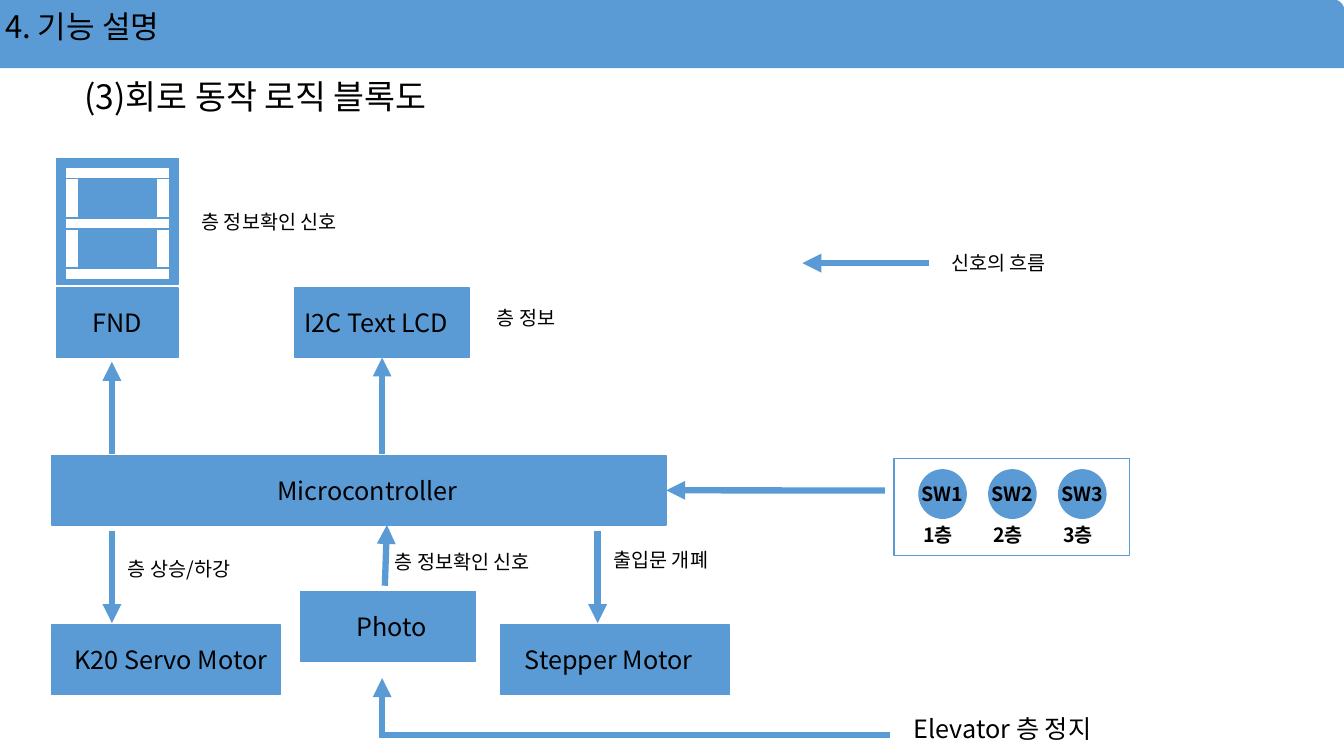
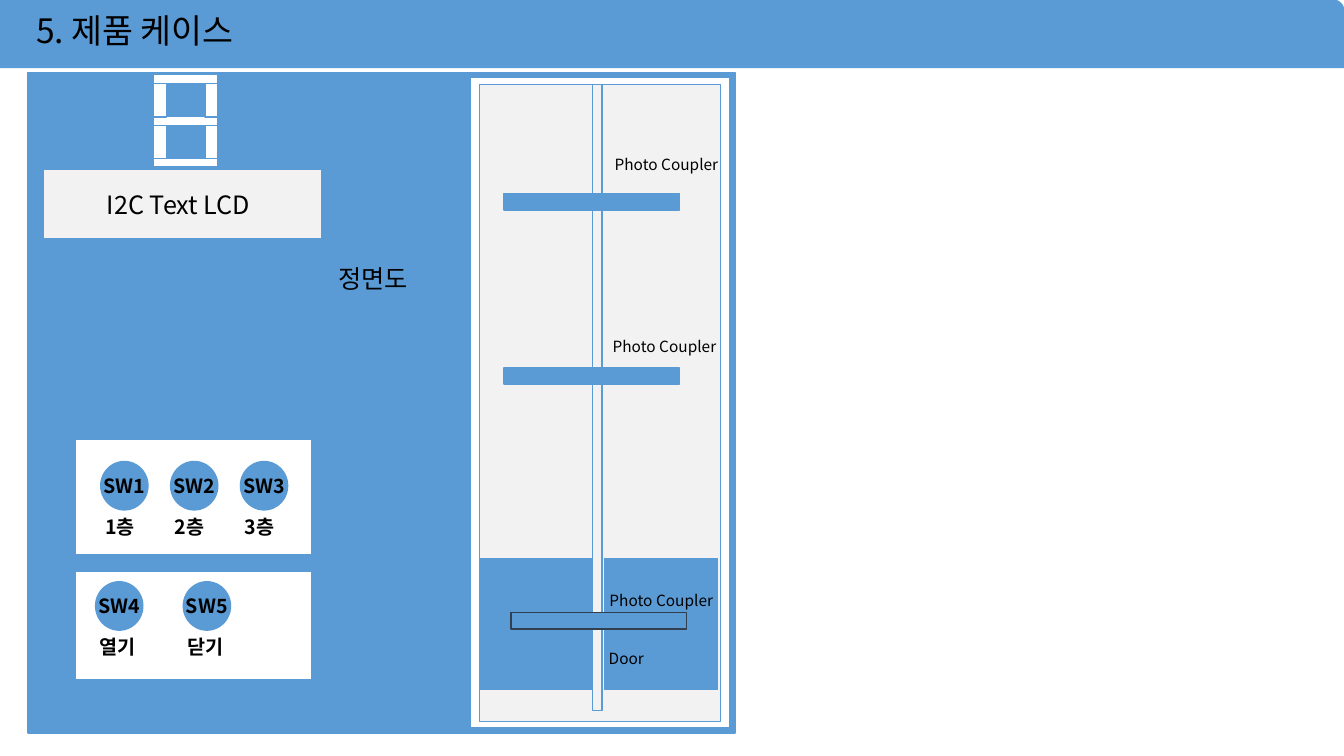
from lxml import etree
from pptx import Presentation
from pptx.dml.color import RGBColor
from pptx.enum.shapes import MSO_CONNECTOR, MSO_SHAPE
from pptx.enum.text import MSO_ANCHOR, PP_ALIGN
from pptx.oxml.ns import qn
from pptx.util import Cm, Pt

BLUE, WHITE, GREY, DARK, BLACK = "5B9BD5", "FFFFFF", "F2F2F2", "323F4F", "000000"
FONT = "Noto Sans CJK KR"
rgb = RGBColor.from_string


def add_box(page, bounds, fill=BLUE, line=BLUE, kind=MSO_SHAPE.RECTANGLE):
    box = page.shapes.add_shape(kind, *map(Cm, bounds))
    box.shadow.inherit = False
    box.fill.solid()
    box.fill.fore_color.rgb = rgb(fill)
    box.line.color.rgb = rgb(line)
    box.line.width = Pt(1)
    return box


def write(shape, text, size, bold=False, align=PP_ALIGN.LEFT, spacing=1.0):
    """Set one line of text and its font, for Latin and Korean letters alike."""
    para = shape.text_frame.paragraphs[0]
    para.text = text
    para.alignment = align
    para.line_spacing = spacing
    span = para.runs[0]
    span.font.size = Pt(size)
    span.font.bold = bold
    span.font.color.rgb = rgb(BLACK)
    span.font.name = FONT
    etree.SubElement(span.font._element, qn("a:ea"), typeface=FONT)


deck = Presentation()
deck.slide_width, deck.slide_height = Cm(33.87), Cm(19.05)
logic, case = [deck.slides.add_slide(deck.slide_layouts[6]) for _ in range(2)]

# Bands and headings
for page, heading, left, size, spacing in [
    (logic, "4. 기능 설명", 0.13, 22.2, 0.8),
    (case, "5. 제품 케이스", 0.91, 24, 0.9),
]:
    add_box(page, (0, 0, 33.87, 1.7), kind=MSO_SHAPE.ROUND_1_RECTANGLE)
    box = page.shapes.add_textbox(Cm(left), Cm(0.25), Cm(8), Cm(1.27))
    box.text_frame.word_wrap = True
    box.text_frame.margin_left = 0
    write(box, heading, size, spacing=spacing)

title = logic.shapes.add_textbox(Cm(1.88), Cm(1.52), Cm(12.32), Cm(1.55))
title.text_frame.word_wrap = True
title.text_frame.vertical_anchor = MSO_ANCHOR.BOTTOM
write(title, "(3)회로 동작 로직 블록도", 24, spacing=0.9)

# Plain rectangles: page, bounds, fill, line
for page, bounds, fill, line in [
    (logic, (22.53, 11.56, 5.94, 2.44), WHITE, BLUE),  # switch panel
    (logic, (1.42, 3.99, 3.07, 3.18), BLUE, BLUE),     # digit frame
    (case, (0.71, 1.83, 17.81, 16.64), BLUE, BLUE),    # housing
    (case, (11.86, 1.96, 6.53, 16.38), WHITE, BLUE),   # shaft border
    (case, (3.81, 1.83, 1.7, 2.46), BLUE, BLUE),       # digit frame
    (case, (12.09, 2.13, 6.07, 16.05), GREY, BLUE),    # shaft
    (case, (12.09, 14.07, 2.92, 3.3), BLUE, BLUE),     # left door
    (case, (15.24, 14.07, 2.84, 3.3), BLUE, BLUE),     # right door
    (case, (1.91, 11.07, 5.94, 2.9), WHITE, BLUE),     # floor panel
    (case, (1.91, 14.4, 5.94, 2.74), WHITE, BLUE),     # door panel
    (case, (14.94, 2.13, 0.23, 15.77), GREY, BLUE),    # cable
    (case, (12.7, 4.88, 4.42, 0.41), BLUE, BLUE),      # photo couplers
    (case, (12.7, 9.27, 4.42, 0.41), BLUE, BLUE),
    (case, (12.88, 15.44, 4.42, 0.41), BLUE, DARK),
]:
    add_box(page, bounds, fill, line)

# Named blocks: page, name, left, top, width, text inset, fill
blocks = []
for page, name, left, top, width, inset, fill in [
    (logic, "I2C Text LCD", 7.42, 7.26, 4.42, 0.25, BLUE),
    (logic, "Microcontroller", 1.3, 11.48, 15.49, 5.69, BLUE),
    (logic, "FND", 1.42, 7.26, 3.07, 0.91, BLUE),
    (logic, "K20 Servo Motor", 1.3, 15.75, 5.77, 0.58, BLUE),
    (logic, "Photo", 7.57, 14.91, 4.42, 1.42, BLUE),
    (logic, "Stepper Motor", 12.62, 15.75, 5.77, 0.61, BLUE),
    (case, "I2C Text LCD", 1.09, 4.27, 7.01, 1.6, GREY),
]:
    box = add_box(page, (left, top, width, 1.75), fill)
    box.text_frame.margin_left = Cm(inset)
    box.text_frame.margin_right = 0
    box.text_frame.vertical_anchor = MSO_ANCHOR.MIDDLE
    write(box, name, 18)
    blocks.append(box)
lcd, controller = blocks[:2]

# Seven-segment digits: three bars and four posts
POST = 0.33
for page, left, top, width, thickness, pitch, post_height in [
    (logic, 1.65, 4.22, 2.62, 0.28, 1.27, 0.99),
    (case, 3.87, 1.88, 1.63, 0.23, 1.05, 0.84),
]:
    for row in range(3):
        add_box(page, (left, top + row * pitch, width, thickness), WHITE)
    for row in range(2):
        for post_left in (left, left + width - POST):
            post_top = top + thickness + row * pitch
            add_box(page, (post_left, post_top, POST, post_height), WHITE)

# Switch rows, with a caption to go under each button
FLOORS = [("SW1", "1층"), ("SW2", "2층"), ("SW3", "3층")]
DOORS = [("SW4", "열기"), ("SW5", "닫기")]
labels = []
for page, left, top, pitch, switches in [
    (logic, 23.16, 11.84, 1.76, FLOORS),
    (case, 2.54, 11.63, 1.76, FLOORS),
    (case, 2.41, 14.66, 2.21, DOORS),
]:
    for column, (name, caption) in enumerate(switches):
        x = left + column * pitch
        button = add_box(page, (x, top, 1.19, 1.22), kind=MSO_SHAPE.OVAL)
        button.text_frame.word_wrap = False
        button.text_frame.vertical_anchor = MSO_ANCHOR.MIDDLE
        write(button, name, 14, bold=True, align=PP_ALIGN.CENTER)
        labels.append((page, caption, x - 0.14, top + 1.22, 1.8, 14, True))

# Labels: page, text, left, top, width, size, bold
labels += [
    (logic, "층 정보확인 신호", 9.7, 13.74, 4.67, 14, False),
    (logic, "층 정보", 12.27, 7.59, 4.67, 14, False),
    (logic, "층 정보확인 신호", 4.83, 5.16, 4.67, 14, False),
    (logic, "층 상승/하강", 2.97, 13.92, 4.67, 14, False),
    (logic, "출입문 개폐", 15.21, 13.67, 4.67, 14, False),
    (logic, "신호의 흐름", 23.72, 6.2, 4.67, 14, False),
    (logic, "Elevator 층 정지", 22.78, 17.86, 5.6, 18, False),
    (case, "Photo Coupler", 15.24, 3.78, 3.28, 11, False),
    (case, "Photo Coupler", 15.19, 8.38, 3.28, 11, False),
    (case, "Photo Coupler", 15.11, 14.76, 3.28, 11, False),
    (case, "Door", 15.09, 16.23, 3.28, 11, False),
    (case, "정면도", 8.28, 6.5, 3.81, 18, False),
]
for page, text, left, top, width, size, bold in labels:
    box = page.shapes.add_textbox(Cm(left), Cm(top), Cm(width), Cm(size * 0.06))
    box.text_frame.word_wrap = True
    write(box, text, size, bold)

# Signal flow: start, end, arrowhead, joined block and side
for start, end, arrow, target, side in [
    ((2.82, 11.43), (2.82, 9.12), True, None, None),
    ((9.63, 11.43), (9.63, 9.01), True, lcd, 2),
    ((22.3, 12.36), (16.79, 12.36), True, controller, 3),
    ((9.7, 14.76), (9.75, 13.23), True, None, None),
    ((2.82, 13.39), (2.82, 15.7), True, None, None),
    ((15.06, 13.39), (15.06, 15.7), True, None, None),
    ((9.63, 18.59), (9.63, 17.09), True, None, None),
    ((22.43, 18.52), (9.68, 18.52), False, None, None),
    ((23.42, 6.63), (20.22, 6.63), True, None, None),
]:
    flow = logic.shapes.add_connector(MSO_CONNECTOR.STRAIGHT, *map(Cm, start + end))
    if target is not None:
        flow.end_connect(target, side)
    flow.line.color.rgb = rgb(BLUE)
    flow.line.width = Pt(4.5)
    if arrow:
        etree.SubElement(flow.line._get_or_add_ln(), qn("a:tailEnd"), type="triangle")
    etree.SubElement(flow._element.spPr, qn("a:effectLst"))

deck.save("out.pptx")
